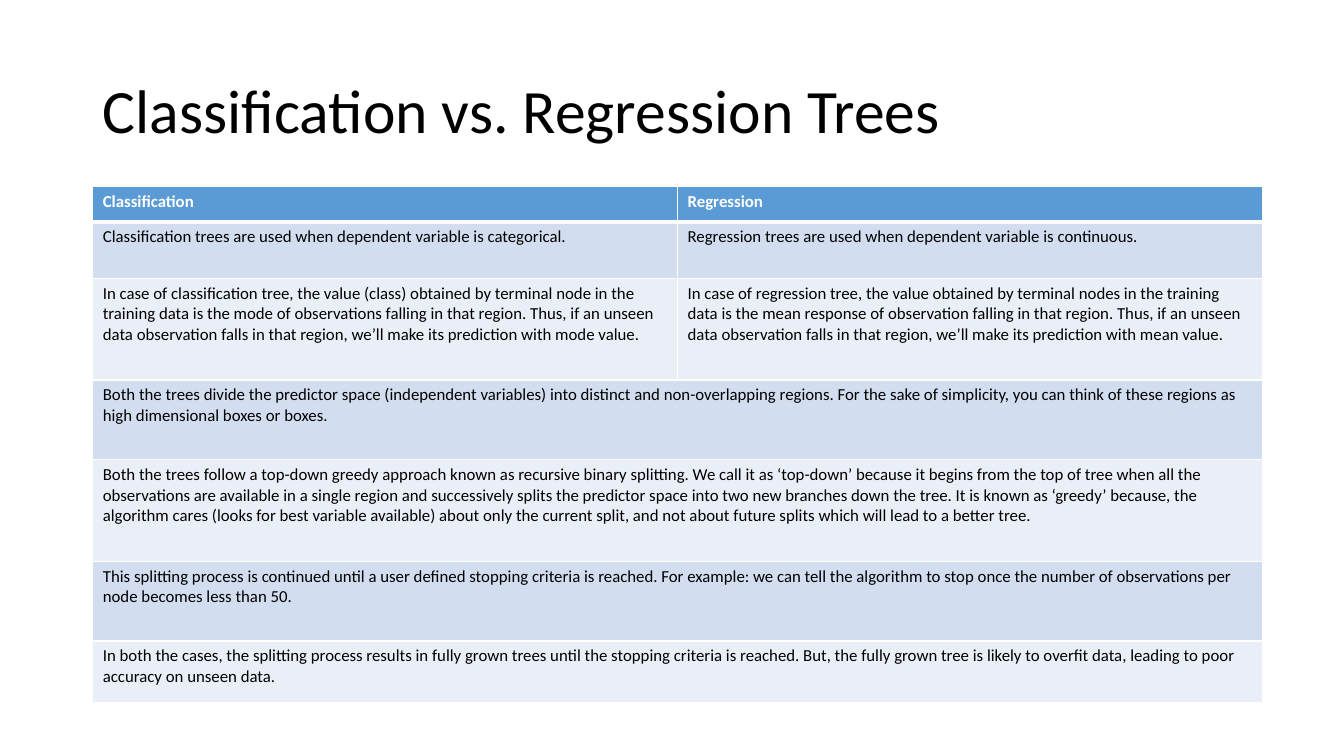
from dataclasses import dataclass

from lxml.etree import SubElement
from pptx import Presentation
from pptx.dml.color import RGBColor
from pptx.enum.text import MSO_ANCHOR, MSO_AUTO_SIZE, PP_ALIGN
from pptx.oxml.ns import qn
from pptx.table import _Cell
from pptx.text.text import _Paragraph
from pptx.util import Inches, Pt

FONT = "Calibri"
BLACK = "000000"
WHITE = "FFFFFF"
HEADER_BLUE = "5B9BD5"
BANDS = ("D2DEEF", "EAEFF7")
COLUMN_WIDTH = 5.8


@dataclass(frozen=True)
class ComparisonRow:
    height: float
    statements: tuple[str, ...]


ROWS = (
    ComparisonRow(0.35, ("Classification", "Regression")),
    ComparisonRow(0.56, (
        "Classification trees are used when dependent variable is categorical.",
        "Regression trees are used when dependent variable is continuous.",
    )),
    ComparisonRow(1.01, (
        "In case of classification tree, the value (class) obtained by terminal node in the "
        "training data is the mode of observations falling in that region. Thus, if an unseen "
        "data observation falls in that region, we’ll make its prediction with mode value.",
        "In case of regression tree, the value obtained by terminal nodes in the training "
        "data is the mean response of observation falling in that region. Thus, if an unseen "
        "data observation falls in that region, we’ll make its prediction with mean value.",
    )),
    ComparisonRow(0.79, (
        "Both the trees divide the predictor space (independent variables) into distinct and "
        "non-overlapping regions. For the sake of simplicity, you can think of these regions "
        "as high dimensional boxes or boxes.",
    )),
    ComparisonRow(1.01, (
        "Both the trees follow a top-down greedy approach known as recursive binary splitting. "
        "We call it as ‘top-down’ because it begins from the top of tree when all the "
        "observations are available in a single region and successively splits the predictor "
        "space into two new branches down the tree. It is known as ‘greedy’ because, the "
        "algorithm cares (looks for best variable available) about only the current split, and "
        "not about future splits which will lead to a better tree.",
    )),
    ComparisonRow(0.79, (
        "This splitting process is continued until a user defined stopping criteria is reached. "
        "For example: we can tell the algorithm to stop once the number of observations per "
        "node becomes less than 50.",
    )),
    ComparisonRow(0.61, (
        "In both the cases, the splitting process results in fully grown trees until the "
        "stopping criteria is reached. But, the fully grown tree is likely to overfit data, "
        "leading to poor accuracy on unseen data.",
    )),
)


def rgb(color: str) -> RGBColor:
    return RGBColor.from_string(color)


def add_text(paragraph: _Paragraph, text: str, size: float, color: str, bold: bool = False) -> None:
    run = paragraph.add_run()
    run.text = text
    run.font.name = FONT
    run.font.size = Pt(size)
    run.font.bold = bold
    run.font.color.rgb = rgb(color)


def style_cell(cell: _Cell, fill: str, top: float, bottom: float) -> None:
    properties = cell._tc.get_or_add_tcPr()
    for side, width in (("L", 1), ("R", 1), ("T", top), ("B", bottom)):
        border = SubElement(properties, qn(f"a:ln{side}"), w=str(Pt(width)))
        border_fill = SubElement(border, qn("a:solidFill"))
        SubElement(border_fill, qn("a:srgbClr"), val=WHITE)
    cell.fill.solid()
    cell.fill.fore_color.rgb = rgb(fill)


def main() -> None:
    presentation = Presentation()
    presentation.slide_width = Inches(13.33)
    presentation.slide_height = Inches(7.5)
    slide = presentation.slides.add_slide(presentation.slide_layouts[5])

    title = slide.shapes.title
    title.left, title.top = Inches(0.92), Inches(0.4)
    title.width, title.height = Inches(11.5), Inches(1.45)
    title.text_frame.auto_size = MSO_AUTO_SIZE.NONE
    title.text_frame.vertical_anchor = MSO_ANCHOR.MIDDLE
    heading = title.text_frame.paragraphs[0]
    heading.alignment = PP_ALIGN.LEFT
    heading.line_spacing = 0.9
    add_text(heading, "Classification vs. Regression Trees", 44, BLACK)

    comparison = slide.shapes.add_table(
        len(ROWS), 2, Inches(0.92), Inches(1.85), Inches(2 * COLUMN_WIDTH),
        Inches(sum(row.height for row in ROWS)),
    ).table
    for column in comparison.columns:
        column.width = Inches(COLUMN_WIDTH)

    for index, row in enumerate(ROWS):
        is_header = index == 0
        comparison.rows[index].height = Inches(row.height)
        cells = [comparison.cell(index, column) for column in range(2)]
        if len(row.statements) == 1:
            cells[0].merge(cells[1])
        for cell in cells:
            style_cell(
                cell,
                HEADER_BLUE if is_header else BANDS[(index - 1) % 2],
                top=3 if index == 1 else 1,
                bottom=3 if is_header else 1,
            )
        for cell, statement in zip(cells, row.statements):
            add_text(cell.text_frame.paragraphs[0], statement, 12,
                     WHITE if is_header else BLACK, is_header)

    presentation.save("out.pptx")


if __name__ == "__main__":
    main()
